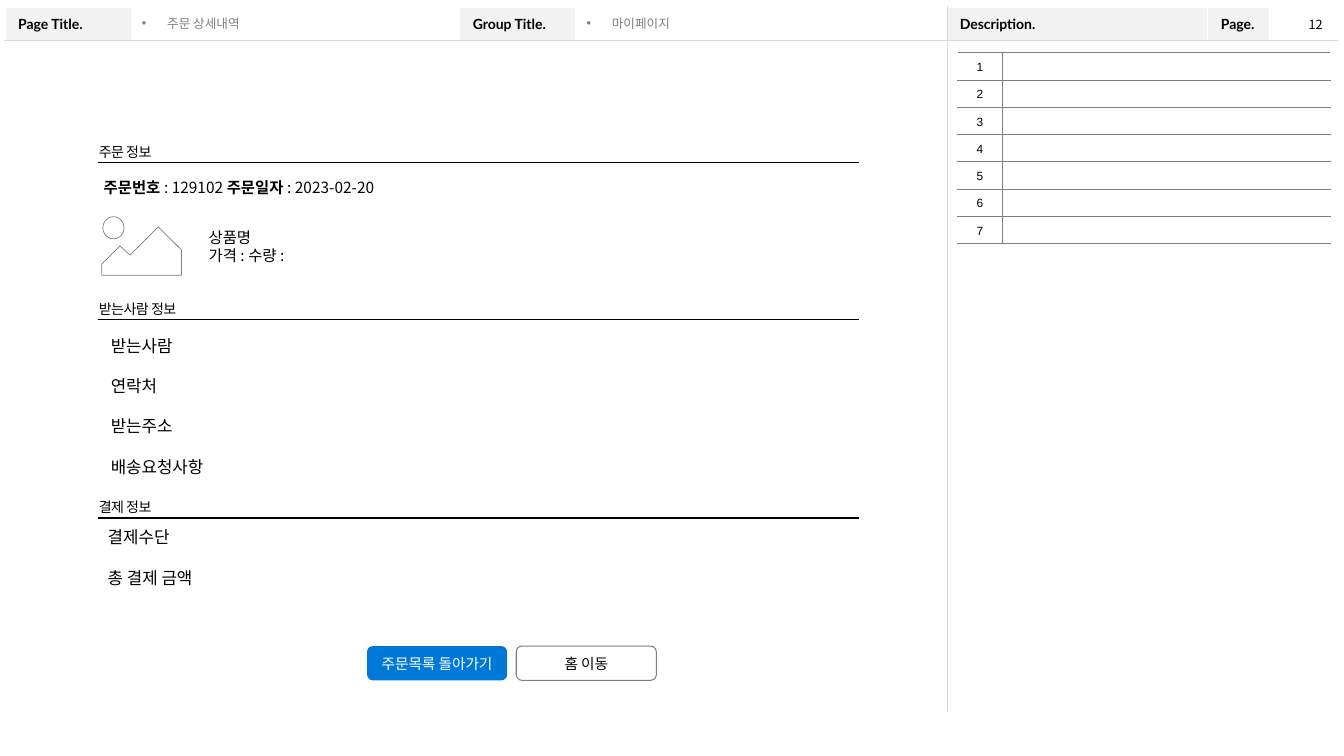
import pptx
import pptx.util
import pptx.dml.color
import pptx.enum.shapes
import pptx.enum.text
import pptx.oxml.ns
from lxml import etree

Inches, Pt = pptx.util.Inches, pptx.util.Pt
ALIGN = pptx.enum.text.PP_ALIGN
ANCHOR = pptx.enum.text.MSO_ANCHOR
SHAPE = pptx.enum.shapes.MSO_SHAPE
qn = pptx.oxml.ns.qn

# Content
HEAD = ["Page Title.", "", "Group Title.", "", "Description.", "Page.", ""]
CRUMBS = [(1.31, 3.24, "주문 상세내역"), (5.72, 3.64, "마이페이지")]
PAGE = "12"
NOTES = ["1", "2", "3", "4", "5", "6", "7"]
SECTIONS = [(1.61, "주문 정보"), (3.17, "받는사람 정보"), (5.14, "결제 정보")]
ORDER = [("주문번호 ", True), (": 129102 ", False),
         ("주문일자 ", True), (": 2023-02-20", False)]
ITEM = ["상품명", "가격 : 수량 :"]
LISTS = [(1, 3.28, 1.5, ["받는사람", "연락처", "받는주소", "배송요청사항"]),
         (0.97, 5.18, 0.7, ["결제수단", "총 결제 금액"])]
BUTTONS = [("주문목록 돌아가기", "blue", None, "white"),
           ("홈 이동", None, "gray", "black")]

# Theme and measures
THEME = {
    "black": "000000", "white": "FFFFFF", "gray": "808080",
    "pale": "F2F2F2", "rule": "D9D9D9", "blue": "0078D7",
    "latin": "Lato", "plain": "Arial", "korean": "Noto Sans CJK KR",
    "head": 10, "crumb": 9, "note": 8.5, "title": 10,
    "body": 11, "list": 12, "button": 10.5,
}
HEAD_COLS = [1.26, 3.25, 1.15, 3.68, 2.59, 0.61, 0.68]
HEAD_ROWS = [0.33, 6.67]
NOTE_COLS = [0.44, 3.26]
NOTE_ROW = 0.27
LEFT, RIGHT = 0.97, 8.52
HILL = [(1.01, 2.62), (1.19, 2.44), (1.29, 2.53), (1.57, 2.25),
        (1.8, 2.48), (1.8, 2.73), (1.01, 2.73)]


def color(name):
    return pptx.dml.color.RGBColor.from_string(THEME[name])


def write(para, text, size, font="korean", ink="black", bold=False):
    run = para.add_run()
    run.text = text
    run.font.size = Pt(THEME[size])
    run.font.name = THEME[font]
    run.font.bold = bold
    run.font.color.rgb = color(ink)
    east = etree.SubElement(run.font._element, qn("a:ea"))
    east.set("typeface", THEME["korean"])
    return run


def box(slide, x, y, w, h, wrap=True):
    frame = slide.shapes.add_textbox(
        Inches(x), Inches(y), Inches(w), Inches(h)).text_frame
    frame.word_wrap = wrap
    return frame


def lines(frame, rows, size, gap=0):
    """Write one paragraph per row, on a fixed pitch of 1.2 times the size."""
    pitch = 1.2 * THEME[size]
    for i, runs in enumerate(rows):
        para = frame.paragraphs[0] if i == 0 else frame.add_paragraph()
        para.line_spacing = Pt(pitch)
        if i and gap:
            para.space_before = Pt(gap * pitch)
        for text, bold in runs:
            write(para, text, size, bold=bold)


def table(slide, x, y, cols, rows):
    grid = slide.shapes.add_table(
        len(rows), len(cols), Inches(x), Inches(y),
        Inches(sum(cols)), Inches(sum(rows))).table
    grid.first_row = grid.horz_banding = False
    for col, w in zip(grid.columns, cols):
        col.width = Inches(w)
    for row, h in zip(grid.rows, rows):
        row.height = Inches(h)
    return grid


def finish(cell, edges, fill=None):
    """Set the cell's edges, then its fill; keep empty cells small."""
    props = cell._tc.get_or_add_tcPr()
    for side in "LRTB":
        if side in edges:
            ink, width = edges[side]
            line = etree.SubElement(props, qn("a:ln" + side), w=str(Pt(width)))
            solid = etree.SubElement(line, qn("a:solidFill"))
            etree.SubElement(solid, qn("a:srgbClr"), val=THEME[ink])
    if fill:
        cell.fill.solid()
        cell.fill.fore_color.rgb = color(fill)
    else:
        cell.fill.background()
    cell.vertical_anchor = ANCHOR.MIDDLE
    para = cell.text_frame.paragraphs[0]
    if not para.runs:
        etree.SubElement(para._p, qn("a:endParaRPr"), sz="800")


def paint(shape, fill, line, width):
    shape.shadow.inherit = False
    if fill:
        shape.fill.solid()
        shape.fill.fore_color.rgb = color(fill)
    else:
        shape.fill.background()
    if line:
        shape.line.color.rgb = color(line)
        shape.line.width = Pt(width)
    else:
        shape.line.fill.background()


def header(slide):
    grid = table(slide, 0.05, 0.07, HEAD_COLS, HEAD_ROWS)
    white, rule = ("white", 1), ("rule", 0.25)
    for i, text in enumerate(HEAD):
        top, low = grid.cell(0, i), grid.cell(1, i)
        top.margin_left = top.margin_right = Inches(0.13)
        top.margin_top = top.margin_bottom = Inches(0.07)
        if text:
            write(top.text_frame.paragraphs[0], text, "head", "latin", bold=True)
        sides = {"L": rule if i == 4 else white, "R": rule if i == 3 else white}
        finish(top, {**sides, "T": white, "B": rule}, "pale" if text else None)
        finish(low, {**sides, "T": rule, "B": white})
    for first, last in [(0, 3), (4, 6)]:
        grid.cell(1, first).merge(grid.cell(1, last))
    # The divider also closes the merged left cell
    edge = grid.cell(1, 0)._tc.tcPr.find(qn("a:lnR"))
    edge.set("w", str(Pt(0.25)))
    edge.find(".//" + qn("a:srgbClr")).set("val", THEME["rule"])


def crumbs(slide):
    for x, w, text in CRUMBS:
        frame = box(slide, x, 0.12, w, 0.24)
        frame.vertical_anchor = ANCHOR.MIDDLE
        para = frame.paragraphs[0]
        para.line_spacing = 0.9
        props = para._p.get_or_add_pPr()
        props.set("marL", str(Inches(0.25)))
        props.set("indent", str(Inches(-0.25)))
        etree.SubElement(props, qn("a:buFont"), typeface=THEME["plain"])
        etree.SubElement(props, qn("a:buChar"), char="•")
        write(para, text, "crumb", "plain", "gray")
    lines(box(slide, 12.88, 0.12, 0.34, 0.25, False), [[(PAGE, False)]], "crumb")


def notes(slide):
    grid = table(slide, 9.5, 0.52, NOTE_COLS, [NOTE_ROW] * len(NOTES))
    thin = ("gray", 0.25)
    for i, text in enumerate(NOTES):
        mark, blank = grid.cell(i, 0), grid.cell(i, 1)
        para = mark.text_frame.paragraphs[0]
        para.alignment = ALIGN.CENTER
        para.line_spacing = 1.2
        write(para, text, "note", "plain")
        finish(mark, {"R": thin, "T": thin, "B": thin})
        finish(blank, {"L": thin, "T": thin, "B": thin})


def sections(slide):
    for y, text in SECTIONS:
        frame = box(slide, LEFT, y - 0.2, 1.3, 0.18)
        frame.margin_right = frame.margin_bottom = 0
        frame.margin_left = frame.margin_top = Inches(0.01)
        lines(frame, [[(text, False)]], "title")
        frame.paragraphs[0].runs[0].font._element.set("spc", "-30")
        rule = slide.shapes.add_connector(
            pptx.enum.shapes.MSO_CONNECTOR.STRAIGHT,
            Inches(LEFT), Inches(y), Inches(RIGHT), Inches(y))
        rule.line.color.rgb = color("black")
        rule.line.width = Pt(1)
        etree.SubElement(rule._element.spPr, qn("a:effectLst"))


def order(slide):
    # Image placeholder: hills and sun
    spots = [(Inches(x), Inches(y)) for x, y in HILL]
    pen = slide.shapes.build_freeform(*spots[0])
    pen.add_line_segments(spots[1:], close=True)
    sun = slide.shapes.add_shape(
        SHAPE.OVAL, Inches(1.02), Inches(2.15), Inches(0.21), Inches(0.22))
    for part in (pen.convert_to_shape(), sun):
        paint(part, "white", "gray", 0.5)
    # Order, item, receiver and payment text
    lines(box(slide, 1.97, 2.21, 1.95, 0.46), [[(t, False)] for t in ITEM], "body")
    lines(box(slide, 0.93, 1.72, 3.43, 0.29), [ORDER], "body")
    for x, y, h, rows in LISTS:
        lines(box(slide, x, y, 3.68, h), [[(t, False)] for t in rows], "list", 1)


def buttons(slide):
    for i, (text, fill, line, ink) in enumerate(BUTTONS):
        key = slide.shapes.add_shape(
            SHAPE.ROUNDED_RECTANGLE, Inches(3.64 + 1.48 * i), Inches(6.41),
            Inches(1.39), Inches(0.34))
        paint(key, fill, line, 0.75)
        frame = key.text_frame
        frame.word_wrap = False
        frame.vertical_anchor = ANCHOR.MIDDLE
        frame.paragraphs[0].alignment = ALIGN.CENTER
        write(frame.paragraphs[0], text, "button", "latin", ink)


def main():
    deck = pptx.Presentation()
    deck.slide_width, deck.slide_height = Inches(13.33), Inches(7.5)
    slide = deck.slides.add_slide(deck.slide_layouts[6])
    for draw in (header, crumbs, notes, sections, order, buttons):
        draw(slide)
    deck.save("out.pptx")


if __name__ == "__main__":
    main()
